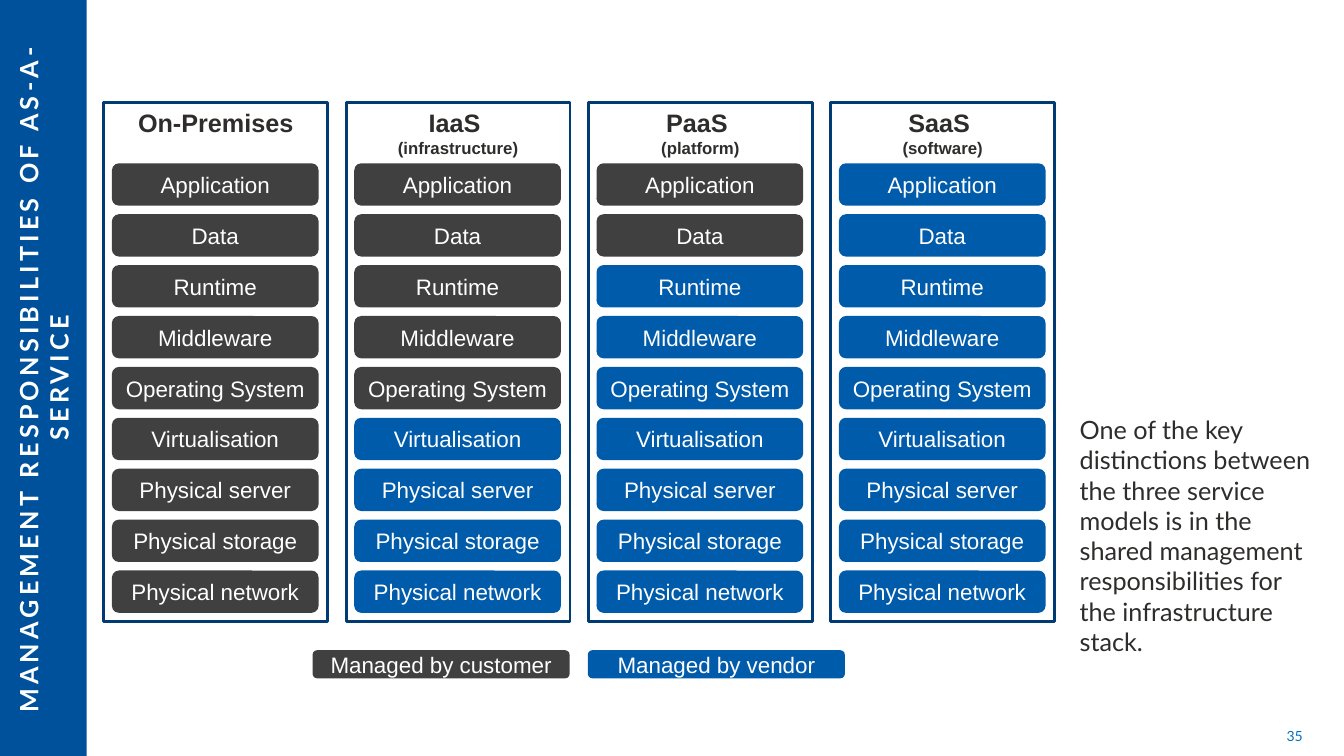
from dataclasses import dataclass
from pptx import Presentation
from pptx import util as u
from pptx.dml.color import RGBColor
from pptx.enum import shapes, text

TITLE = "MANAGEMENT RESPONSIBILITIES OF AS-A-SERVICE"
BODY = ("One of the key distinctions between the three service models is in the "
        "shared management responsibilities for the infrastructure stack.")
PAGE_NUMBER = "35"
LAYERS = ["Application", "Data", "Runtime", "Middleware", "Operating System",
          "Virtualisation", "Physical server", "Physical storage", "Physical network"]
# name, subtitle, number of layers managed by the customer
MODELS = [
    ("On-Premises", "", 9),
    ("IaaS ", "(infrastructure)", 5),
    ("PaaS ", "(platform)", 2),
    ("SaaS ", "(software)", 0),
]


@dataclass(frozen=True)
class Theme:
    band: str = "00519C"
    frame: str = "003C73"
    customer: str = "404040"
    vendor: str = "005BAA"
    ink: str = "2E2D2C"
    number: str = "0070C0"
    white: str = "FFFFFF"
    large: int = 18
    label: int = 16
    small: int = 12
    tiny: int = 10
    diagram_font: str = "Arial"
    page_font: str = "Lato"


THEME = Theme()
LEGEND = [("Managed by customer", THEME.customer), ("Managed by vendor", THEME.vendor)]

FRAME_LEFT, FRAME_TOP, FRAME_WIDTH, FRAME_HEIGHT = 1.03, 1.02, 2.22, 5.15
FRAME_PITCH = (8.24 - FRAME_LEFT) / 3
BAR_INSET, BAR_TOP, BAR_WIDTH, BAR_HEIGHT = 0.08, 1.62, 2.05, 0.42
BAR_PITCH = (5.66 - BAR_TOP) / (len(LAYERS) - 1)
LEGEND_LEFT, LEGEND_TOP, LEGEND_WIDTH, LEGEND_HEIGHT, LEGEND_PITCH = 3.1, 6.45, 2.55, 0.28, 2.73


def style(font, name, size, color, bold=False):
    font.name, font.size, font.bold = name, u.Pt(size), bold
    font.color.rgb = RGBColor.from_string(color)


def add_block(page, kind, area, fill, line=None):
    block = page.shapes.add_shape(kind, *map(u.Inches, area))
    block.shadow.inherit = False
    block.fill.solid()
    block.fill.fore_color.rgb = RGBColor.from_string(fill)
    if line:
        block.line.color.rgb = RGBColor.from_string(line)
        block.line.width = u.Pt(2)
    else:
        block.line.fill.background()
    return block


def add_bar(page, area, fill, label):
    frame = add_block(page, shapes.MSO_SHAPE.ROUNDED_RECTANGLE, area, fill).text_frame
    frame.margin_left = frame.margin_right = frame.margin_top = frame.margin_bottom = 0
    frame.vertical_anchor = text.MSO_ANCHOR.MIDDLE
    para = frame.paragraphs[0]
    para.text = label
    para.alignment = text.PP_ALIGN.CENTER
    style(para.font, THEME.diagram_font, THEME.label, THEME.white)


def add_text(page, area, words, size, color, align, anchor, bold=False):
    box = page.shapes.add_textbox(*map(u.Inches, area))
    box.text_frame.word_wrap = True
    box.text_frame.vertical_anchor = anchor
    para = box.text_frame.paragraphs[0]
    para.text = words
    para.alignment = align
    style(para.font, THEME.page_font, size, color, bold)
    return box


def add_model(page, column, name, subtitle, customer_layers):
    left = FRAME_LEFT + column * FRAME_PITCH
    box = add_block(page, shapes.MSO_SHAPE.RECTANGLE,
                    (left, FRAME_TOP, FRAME_WIDTH, FRAME_HEIGHT), THEME.white, THEME.frame)
    box.text_frame.vertical_anchor = text.MSO_ANCHOR.TOP
    para = box.text_frame.paragraphs[0]
    para.alignment = text.PP_ALIGN.CENTER
    style(para.font, THEME.diagram_font, THEME.large, THEME.ink, True)
    para.add_run().text = name
    if subtitle:
        para.add_line_break()
        span = para.add_run()
        span.text = subtitle
        span.font.size = u.Pt(THEME.small)
    for row, layer in enumerate(LAYERS):
        fill = THEME.customer if row < customer_layers else THEME.vendor
        add_bar(page, (left + BAR_INSET, BAR_TOP + row * BAR_PITCH, BAR_WIDTH, BAR_HEIGHT),
                fill, layer)


def main():
    deck = Presentation()
    deck.slide_width, deck.slide_height = u.Inches(13.33), u.Inches(7.5)
    page = deck.slides.add_slide(deck.slide_layouts[6])
    align, anchor = text.PP_ALIGN, text.MSO_ANCHOR

    add_block(page, shapes.MSO_SHAPE.RECTANGLE, (0, 0, 0.86, 7.5), THEME.band)
    title = add_text(page, (-3.41, 3.59, 7.68, 0.32), TITLE, THEME.large, THEME.white,
                     align.CENTER, anchor.MIDDLE, True)
    title.rotation = 270
    title.text_frame.paragraphs[0].runs[0].font._element.set("spc", "300")
    add_text(page, (10.61, 1.84, 2.61, 4.72), BODY, THEME.large, THEME.ink,
             align.LEFT, anchor.BOTTOM)
    add_text(page, (9.91, 7.1, 3.11, 0.4), PAGE_NUMBER, THEME.tiny, THEME.number,
             align.RIGHT, anchor.MIDDLE)

    for column, model in enumerate(MODELS):
        add_model(page, column, *model)
    for column, (label, fill) in enumerate(LEGEND):
        add_bar(page, (LEGEND_LEFT + column * LEGEND_PITCH, LEGEND_TOP,
                       LEGEND_WIDTH, LEGEND_HEIGHT), fill, label)

    deck.save("out.pptx")


if __name__ == "__main__":
    main()
